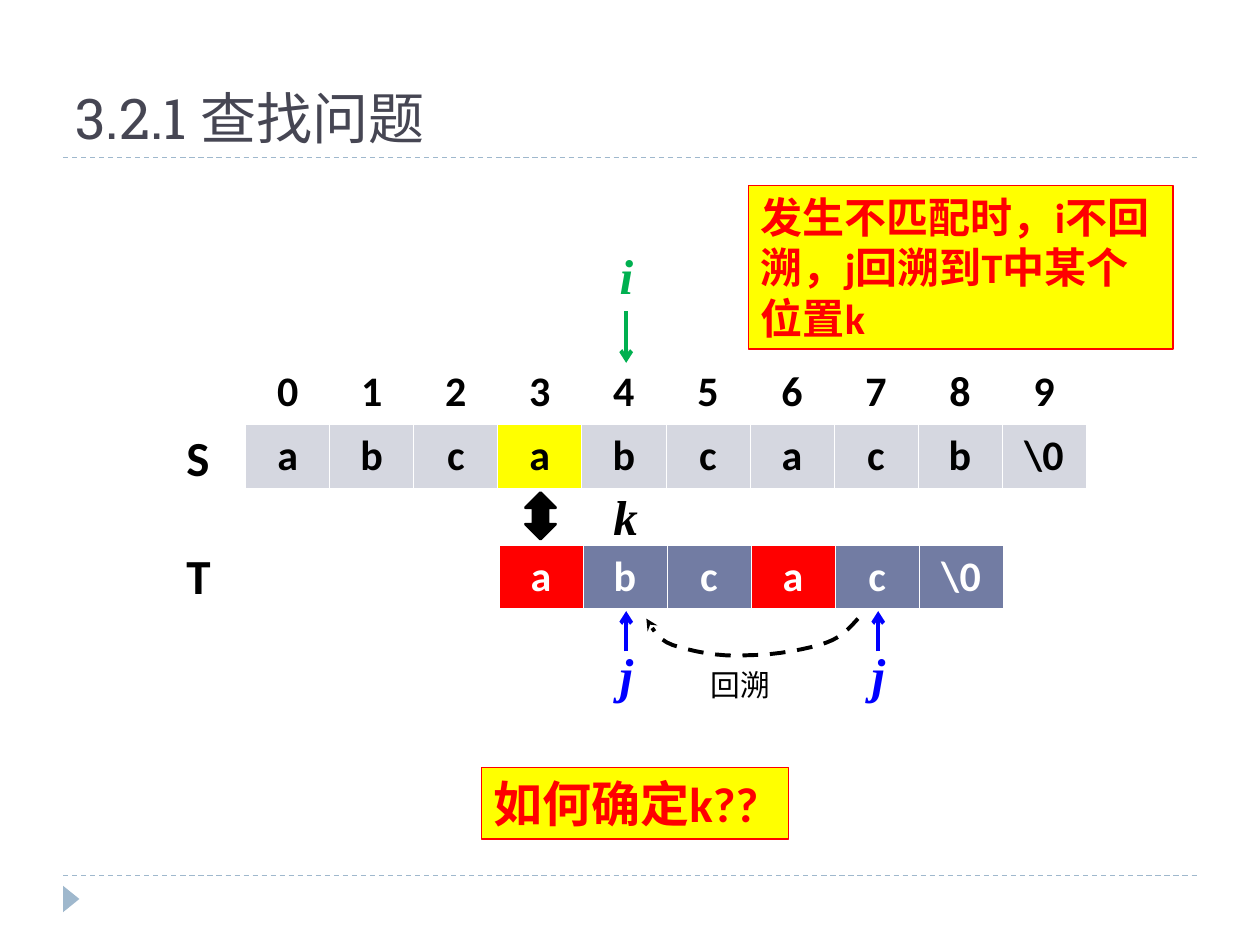
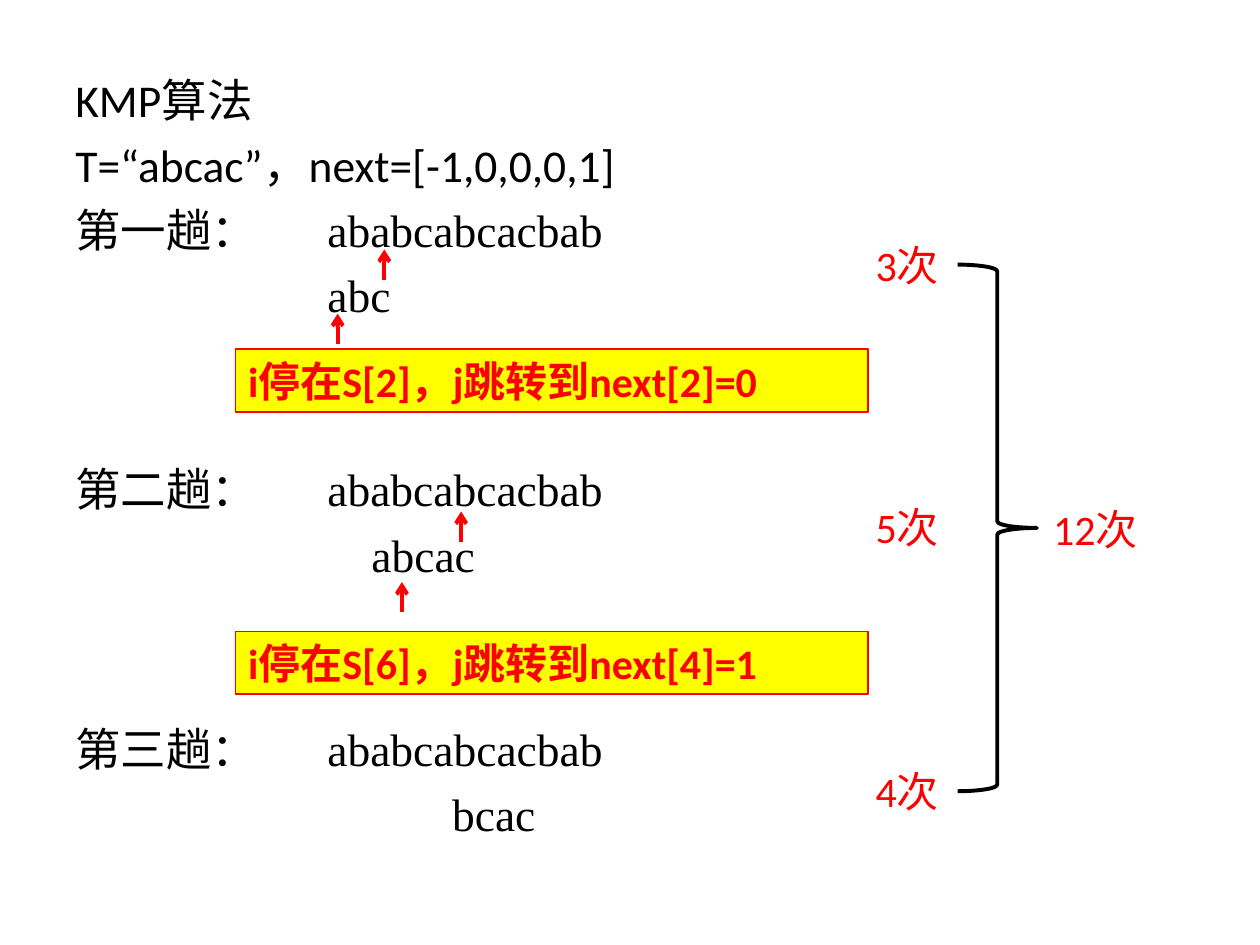
from dataclasses import dataclass

from lxml.etree import SubElement
from pptx import Presentation
from pptx.dml.color import RGBColor
from pptx.enum.dml import MSO_LINE
from pptx.enum.lang import MSO_LANGUAGE_ID
from pptx.enum.shapes import MSO_CONNECTOR, MSO_SHAPE
from pptx.enum.text import MSO_ANCHOR, PP_ALIGN
from pptx.oxml import parse_xml
from pptx.oxml.ns import nsdecls, qn
from pptx.util import Pt

PX = 9144


@dataclass(frozen=True)
class Theme:
    black: str = "000000"
    white: str = "FFFFFF"
    red: str = "FF0000"
    yellow: str = "FFFF00"
    green: str = "00B050"
    blue: str = "0000FF"
    title: str = "464653"
    rule: str = "9FB8CD"
    source_cell: str = "D5D7E0"
    pattern_cell: str = "727CA3"
    sans: str = "Calibri"
    serif: str = "Times New Roman"
    slab: str = "Roboto Slab"
    title_size: int = 32
    name_size: int = 28
    body_size: int = 26
    cell_size: int = 24
    note_size: int = 17
    thin: float = 0.75
    outline: float = 1.5
    stroke: float = 2.25


def emu(*lengths):
    return [round(length * PX) for length in lengths]


def rgb(color):
    return RGBColor.from_string(color)


def bezier(start, c1, c2, end, steps=8):
    for step in range(1, steps + 1):
        t = step / steps
        weights = ((1 - t) ** 3, 3 * t * (1 - t) ** 2, 3 * t * t * (1 - t), t ** 3)
        yield tuple(sum(w * p[axis] for w, p in zip(weights, (start, c1, c2, end)))
                    for axis in (0, 1))


class Deck:
    def __init__(self, theme):
        self.theme = theme
        self.prs = Presentation()
        self.prs.slide_width, self.prs.slide_height = emu(1000, 750)
        self.slide = None

    def new_slide(self, title=None):
        layout = self.prs.slide_layouts[5 if title else 6]
        self.slide = self.prs.slides.add_slide(layout)
        if title:
            self.title(title)
            self.frame()

    def title(self, text):
        t = self.theme
        holder = self.slide.shapes.title
        holder.left, holder.top, holder.width, holder.height = emu(50, 17, 900, 108)
        self.set_text(holder, text, t.title_size, t.title, t.slab)
        holder.text_frame.vertical_anchor = MSO_ANCHOR.BOTTOM

    def frame(self):
        t = self.theme
        for y in (695, 125):
            self.line((50, y), (950, y), t.rule, t.thin, dash=True)
        marker = self.shape(MSO_SHAPE.ISOSCELES_TRIANGLE, (46, 707, 21, 13), t.rule)
        marker.rotation = 90

    def format_run(self, run, size, color, font, bold=False, italic=False):
        run.font.size = Pt(size)
        run.font.color.rgb = rgb(color)
        run.font.name = font
        run.font.bold = bold
        run.font.italic = italic
        run.font.language_id = MSO_LANGUAGE_ID.SIMPLIFIED_CHINESE

    def set_text(self, holder, text, size, color, font, bold=False, italic=False):
        frame = holder.text_frame
        frame.text = text
        frame.vertical_anchor = MSO_ANCHOR.TOP
        paragraph = frame.paragraphs[0]
        paragraph.alignment = PP_ALIGN.LEFT
        self.format_run(paragraph.runs[0], size, color, font, bold, italic)

    def label(self, box, text, size, color, font, bold=False, italic=False):
        holder = self.slide.shapes.add_textbox(*emu(*box))
        self.set_text(holder, text, size, color, font, bold, italic)
        holder.text_frame.word_wrap = False
        return holder

    def shape(self, preset, box, fill=None, line=None, width=None):
        shape = self.slide.shapes.add_shape(preset, *emu(*box))
        self.paint(shape, fill, line, width)
        return shape

    def paint(self, shape, fill, line, width):
        shape.shadow.inherit = False
        if fill:
            shape.fill.solid()
            shape.fill.fore_color.rgb = rgb(fill)
        else:
            shape.fill.background()
        if line:
            shape.line.color.rgb = rgb(line)
            shape.line.width = Pt(width)
        else:
            shape.line.fill.background()

    def callout(self, box, text, size):
        t = self.theme
        note = self.shape(MSO_SHAPE.RECTANGLE, box, t.yellow, t.red, t.thin)
        self.set_text(note, text, size, t.red, t.sans, bold=True)
        note.text_frame.word_wrap = True

    def arrowhead(self, shape, kind):
        SubElement(shape.line._get_or_add_ln(), qn("a:tailEnd"), type=kind)

    def line(self, start, end, color, width, dash=False, head=None):
        line = self.slide.shapes.add_connector(MSO_CONNECTOR.STRAIGHT, *emu(*start, *end))
        line.line.color.rgb = rgb(color)
        line.line.width = Pt(width)
        if dash:
            line.line.dash_style = MSO_LINE.DASH
        if head:
            self.arrowhead(line, head)
        SubElement(line._element.spPr, qn("a:effectLst"))
        return line

    def arrow(self, start, end, color):
        return self.line(start, end, color, self.theme.stroke, head="arrow")

    def curve(self, start, segments):
        t = self.theme
        points = []
        origin = start
        for c1, c2, end in segments:
            points += [emu(*point) for point in bezier(origin, c1, c2, end)]
            origin = end
        builder = self.slide.shapes.build_freeform(*emu(*start))
        builder.add_line_segments(points, close=False)
        trail = builder.convert_to_shape()
        self.paint(trail, None, t.black, t.stroke)
        trail.line.dash_style = MSO_LINE.DASH
        self.arrowhead(trail, "stealth")

    def array(self, left, top, rows, fills, color):
        cell_width, cell_height = 66.7, 50
        columns = len(rows[0])
        table = self.slide.shapes.add_table(
            len(rows), columns,
            *emu(left, top, cell_width * columns, cell_height * len(rows))).table
        for column in table.columns:
            column.width = emu(cell_width)[0]
        for r, values in enumerate(rows):
            table.rows[r].height = emu(cell_height)[0]
            for c, value in enumerate(values):
                self.cell(table.cell(r, c), value, fills[r][c], color,
                          "lnB" if r == 0 else "lnT")

    def cell(self, cell, value, fill, color, thick_edge):
        t = self.theme
        self.set_text(cell, value, t.cell_size, color, t.sans, bold=True)
        cell.text_frame.paragraphs[0].alignment = PP_ALIGN.CENTER
        cell.vertical_anchor = MSO_ANCHOR.MIDDLE
        cell.fill.solid()
        cell.fill.fore_color.rgb = rgb(fill)
        properties = cell._tc.get_or_add_tcPr()
        for position, edge in enumerate(("lnL", "lnR", "lnT", "lnB")):
            width = Pt(1.47 if edge == thick_edge else 0.45)
            properties.insert(position, parse_xml(
                f'<a:{edge} {nsdecls("a")} w="{width}"><a:solidFill>'
                f'<a:srgbClr val="{t.white}"/></a:solidFill></a:{edge}>'))

    def trace(self, box, lines):
        t = self.theme
        frame = self.slide.shapes.add_textbox(*emu(*box)).text_frame
        frame.word_wrap = True
        for index, (heading, sequence, offset, gap) in enumerate(lines):
            paragraph = frame.paragraphs[0] if index == 0 else frame.add_paragraph()
            properties = paragraph._p.get_or_add_pPr()
            stop = str(emu(offset)[0])
            if heading and sequence:
                tabs = SubElement(properties, qn("a:tabLst"))
                SubElement(tabs, qn("a:tab"), pos=stop, algn="l")
            elif sequence:
                properties.set("marL", stop)
                properties.set("indent", "0")
            if index:
                paragraph.space_before = Pt(gap)
            for text, font in ((heading, t.sans), (sequence, t.serif)):
                if text:
                    run = paragraph.add_run()
                    run.text = text
                    self.format_run(run, t.body_size, t.black, font)


def search_slide(deck):
    t = deck.theme
    deck.new_slide("3.2.1 查找问题")

    source = [*"abcabcacb", "\\0"]
    pattern = [*"abcac", "\\0"]
    source_fills = [t.yellow if i == 3 else t.source_cell for i in range(len(source))]
    pattern_fills = [t.red if value == "a" else t.pattern_cell for value in pattern]
    indexes = [str(i) for i in range(len(source))]
    deck.array(195, 286, [indexes, source], [[t.white] * len(source), source_fills], t.black)
    deck.array(396, 433, [pattern], [pattern_fills], t.white)

    for name, top in (("S", 334), ("T", 428)):
        deck.label((138, top, 38, 57), name, t.name_size, t.black, t.sans, bold=True)
    deck.shape(MSO_SHAPE.UP_DOWN_ARROW, (417, 391, 24, 37), t.black, t.black, t.outline)

    def pointer(name, left, top, width, color):
        return deck.label((left, top, width, 57), name, t.name_size, color, t.serif,
                          bold=True, italic=True)

    i_name = pointer("i", 482, 190, 30, t.green)
    deck.arrow((497, 247), (497, 288), t.green).begin_connect(i_name, 2)
    for x in (497, 697):
        deck.arrow((x, 517), (x, 485), t.blue)
        pointer("j", x - 15, 507, 30, t.blue)
    pointer("k", 477, 381, 39, t.black)

    deck.curve((681, 491), [
        ((677, 495), (670, 505), (656, 510)),
        ((642, 515), (615, 520), (595, 520)),
        ((569, 522), (547, 516), (534, 512)),
        ((520, 507), (517, 496), (513, 491)),
    ])
    backtrack = deck.label((564, 532, 66, 32), "回溯", t.note_size, t.black, t.serif).text_frame
    backtrack.margin_left = backtrack.margin_right = 0
    backtrack.margin_top = backtrack.margin_bottom = 0
    backtrack.word_wrap = True
    backtrack.paragraphs[0].line_spacing = 0.9

    deck.callout((594, 147, 337, 130), "发生不匹配时，i不回溯，j回溯到T中某个位置k", t.cell_size)
    deck.callout((382, 609, 244, 57), "如何确定k??", t.name_size)


def kmp_slide(deck):
    t = deck.theme
    deck.new_slide()
    source = "ababcabcacbab"
    line_gap, pass_gap = 6, 80
    deck.trace((50, 52, 900, 677), [
        ("KMP算法", "", 0, 0),
        ("T=“abcac”，next=[-1,0,0,0,1]", "", 0, line_gap),
        ("第一趟：\t", source, 200, line_gap),
        ("", "abc", 200, line_gap),
        ("第二趟：\t", source, 200, pass_gap),
        ("", "abcac", 235, line_gap),
        ("第三趟：\t", source, 200, pass_gap),
        ("", "bcac", 299, line_gap),
    ])
    for top, jump in ((277, "i停在S[2]，j跳转到next[2]=0"), (501, "i停在S[6]，j跳转到next[4]=1")):
        deck.callout((187, top, 502, 50), jump, t.cell_size)
    for x, tip in ((305, 198), (268, 249), (366, 406), (319, 462)):
        deck.arrow((x, tip + 24), (x, tip), t.red)

    counts = (("3次", 685, 185, 78), ("5次", 685, 393, 78), ("4次", 685, 603, 78),
              ("12次", 826, 395, 95))
    for count, left, top, width in counts:
        deck.label((left, top, width, 50), count, t.cell_size, t.red, t.sans)
    deck.shape(MSO_SHAPE.RIGHT_BRACE, (760, 210, 63, 418), None, t.black, t.stroke)


def main():
    deck = Deck(Theme())
    search_slide(deck)
    kmp_slide(deck)
    deck.prs.save("out.pptx")


if __name__ == "__main__":
    main()
